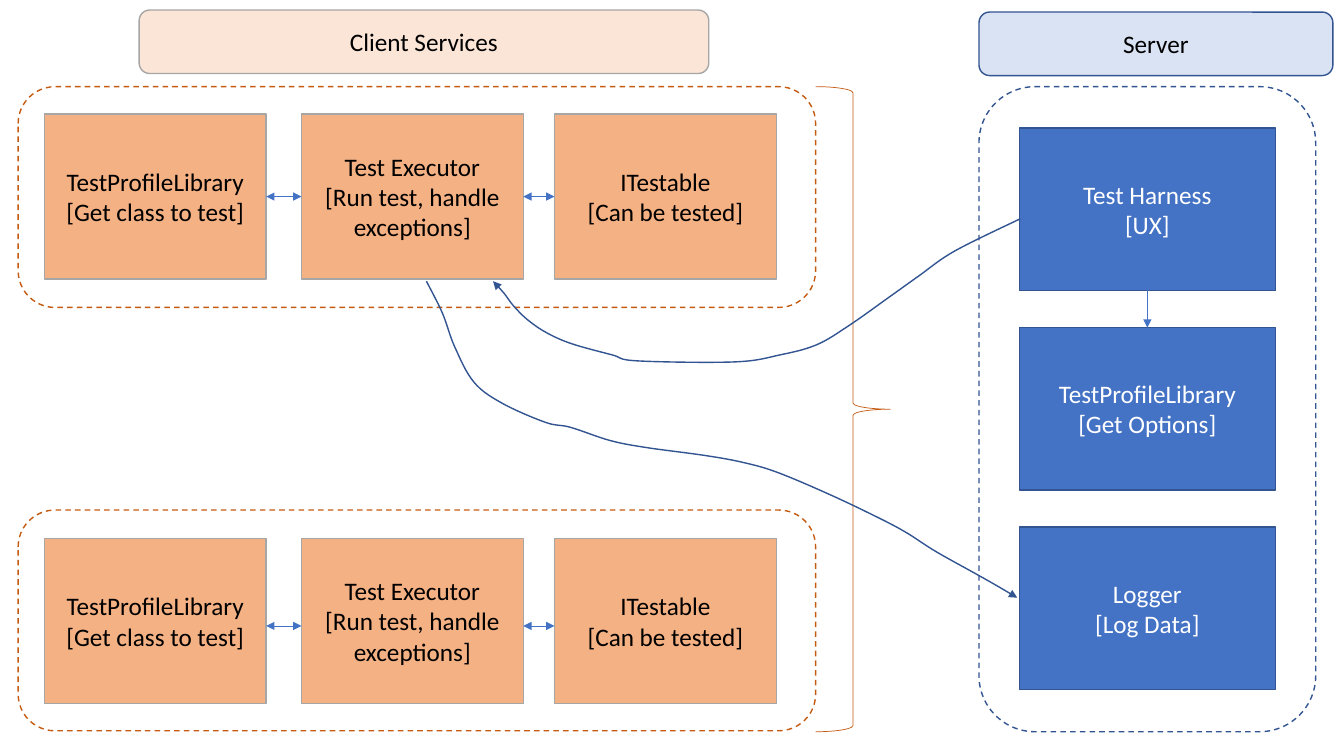
from dataclasses import dataclass

from lxml.etree import SubElement
from pptx import Presentation
from pptx.dml.color import RGBColor
from pptx.enum.dml import MSO_LINE
from pptx.enum.shapes import MSO_CONNECTOR, MSO_SHAPE
from pptx.enum.text import MSO_ANCHOR, PP_ALIGN
from pptx.oxml.ns import qn
from pptx.util import Inches, Pt


@dataclass(frozen=True)
class Theme:
    font: str = "Calibri"
    text_size: float = 18
    outline: float = 1
    thin: float = 0.5
    black: str = "000000"
    white: str = "FFFFFF"
    orange: str = "F4B183"
    pale_orange: str = "FBE5D6"
    dark_orange: str = "C55A11"
    grey: str = "A6A6A6"
    blue: str = "4472C4"
    pale_blue: str = "DAE3F3"
    dark_blue: str = "325491"


class Diagram:
    def __init__(self, page, theme):
        self.page, self.theme = page, theme

    def style_line(self, line, color, width):
        line.color.rgb = RGBColor.from_string(color)
        line.width = Pt(width)

    def add_arrowheads(self, shape, *ends):
        """Add triangles to a shape whose line is already styled."""
        properties = shape._element.spPr.find(qn("a:ln"))
        for end in ends:
            SubElement(properties, qn(f"a:{end}"), type="triangle")

    def outline(self, kind, left, top, width, height, color, weight=None):
        """Add an unfilled preset shape."""
        shape = self.page.shapes.add_shape(
            kind, Inches(left), Inches(top), Inches(width), Inches(height))
        shape.shadow.inherit = False
        shape.fill.background()
        self.style_line(shape.line, color, weight or self.theme.outline)
        return shape

    def panel(self, left, top, width, height, color):
        shape = self.outline(MSO_SHAPE.ROUNDED_RECTANGLE, left, top, width, height, color)
        shape.line.dash_style = MSO_LINE.DASH

    def box(self, kind, left, top, width, height, text, fill, line, color):
        """Add a filled shape with one centred paragraph per text line."""
        shape = self.outline(kind, left, top, width, height, line)
        shape.fill.solid()
        shape.fill.fore_color.rgb = RGBColor.from_string(fill)
        frame = shape.text_frame
        frame.text = text
        frame.word_wrap = True
        frame.vertical_anchor = MSO_ANCHOR.MIDDLE
        for para in frame.paragraphs:
            para.alignment = PP_ALIGN.CENTER
            for span in para.runs:
                span.font.name = self.theme.font
                span.font.size = Pt(self.theme.text_size)
                span.font.color.rgb = RGBColor.from_string(color)

    def arrow(self, x1, y1, x2, y2, *ends):
        connector = self.page.shapes.add_connector(
            MSO_CONNECTOR.STRAIGHT, Inches(x1), Inches(y1), Inches(x2), Inches(y2))
        self.style_line(connector.line, self.theme.blue, self.theme.thin)
        self.add_arrowheads(connector, *ends)
        SubElement(connector._element.spPr, qn("a:effectLst"))

    def curved_arrow(self, points):
        """Add a smooth arrow through the points, bending each segment into a Bezier."""
        points = [(Inches(x), Inches(y)) for x, y in points]
        builder = self.page.shapes.build_freeform(*points[0])
        builder.add_line_segments(points[1:], close=False)
        shape = builder.convert_to_shape()
        shape.shadow.inherit = False
        shape.fill.background()
        self.style_line(shape.line, self.theme.dark_blue, self.theme.outline)
        self.add_arrowheads(shape, "tailEnd")

        outline = shape._element.spPr.find(".//" + qn("a:path"))
        stops = [(int(pt.get("x")), int(pt.get("y"))) for pt in outline.iter(qn("a:pt"))]
        padded = [stops[0], *stops, stops[-1]]
        for i, segment in enumerate(outline.findall(qn("a:lnTo"))):
            before, start, end, after = padded[i:i + 4]
            controls = (
                [s + (e - b) / 6 for b, s, e in zip(before, start, end)],
                [e - (a - s) / 6 for s, e, a in zip(start, end, after)],
                end)
            segment.tag = qn("a:cubicBezTo")
            segment.remove(segment[0])
            for x, y in controls:
                SubElement(segment, qn("a:pt"), x=str(round(x)), y=str(round(y)))


deck = Presentation()
deck.slide_width, deck.slide_height = Inches(13.33), Inches(7.5)
theme = Theme()
diagram = Diagram(deck.slides.add_slide(deck.slide_layouts[6]), theme)

# Server: three stacked boxes in a dashed panel
SERVER_LEFT, SERVER_TOP, SERVER_STEP = 10.11, 1.27, 1.98
SERVER_WIDTH, SERVER_HEIGHT = 2.54, 1.61
server_texts = ["Test Harness\n[UX]", "TestProfileLibrary\n[Get Options]", "Logger\n[Log Data]"]
for index, text in enumerate(server_texts):
    diagram.box(MSO_SHAPE.RECTANGLE, SERVER_LEFT, SERVER_TOP + index * SERVER_STEP,
                SERVER_WIDTH, SERVER_HEIGHT, text, theme.blue, theme.dark_blue, theme.white)
diagram.panel(9.71, 0.86, 3.34, 6.4, theme.dark_blue)
server_middle = SERVER_LEFT + SERVER_WIDTH / 2
diagram.arrow(server_middle, SERVER_TOP + SERVER_HEIGHT,
              server_middle, SERVER_TOP + SERVER_STEP, "tailEnd")

# Clients: two identical rows of linked boxes
CLIENT_WIDTH, CLIENT_HEIGHT = 2.2, 1.64
client_boxes = [
    (0.44, "TestProfileLibrary\n[Get class to test]"),
    (2.99, "Test Executor\n[Run test, handle exceptions]"),
    (5.5, "ITestable\n[Can be tested]"),
]
for panel_top, box_top, arrow_y in [(0.86, 1.13, 1.95), (5.06, 5.34, 6.21)]:
    diagram.panel(0.18, panel_top, 7.91, 2.19, theme.dark_orange)
    for left, text in client_boxes:
        diagram.box(MSO_SHAPE.RECTANGLE, left, box_top, CLIENT_WIDTH, CLIENT_HEIGHT,
                    text, theme.orange, theme.grey, theme.black)
    for (left, _), (next_left, _) in zip(client_boxes, client_boxes[1:]):
        diagram.arrow(left + CLIENT_WIDTH, arrow_y, next_left, arrow_y, "headEnd", "tailEnd")
diagram.outline(MSO_SHAPE.RIGHT_BRACE, 8.09, 0.86, 0.74, 6.4, theme.dark_orange, theme.thin)

# Headings
diagram.box(MSO_SHAPE.ROUNDED_RECTANGLE, 1.38, 0.1, 5.65, 0.63,
            "Client Services", theme.pale_orange, theme.grey, theme.black)
diagram.box(MSO_SHAPE.ROUNDED_RECTANGLE, 9.71, 0.12, 3.51, 0.63,
            "Server", theme.pale_blue, theme.dark_blue, theme.black)

# Harness to executor, then executor to logger
diagram.curved_arrow([
    (10.12, 2.17), (9.47, 2.49), (9.11, 2.74), (8.83, 2.94), (8.42, 3.23), (8.1, 3.42),
    (7.74, 3.52), (7.29, 3.59), (6.32, 3.58), (6.07, 3.52), (5.67, 3.41), (5.42, 3.3),
    (5.23, 3.17), (5.09, 3.03), (5, 2.91), (4.89, 2.79)])
diagram.curved_arrow([
    (4.23, 2.79), (4.39, 3.11), (4.51, 3.44), (4.7, 3.79), (4.98, 4), (5.41, 4.19),
    (5.66, 4.24), (6.05, 4.37), (6.41, 4.44), (7, 4.52), (7.38, 4.59), (7.72, 4.69),
    (8.26, 4.92), (8.74, 5.15), (9, 5.29), (9.28, 5.47), (9.71, 5.71), (9.92, 5.83),
    (10.09, 5.93)])

deck.save("out.pptx")
